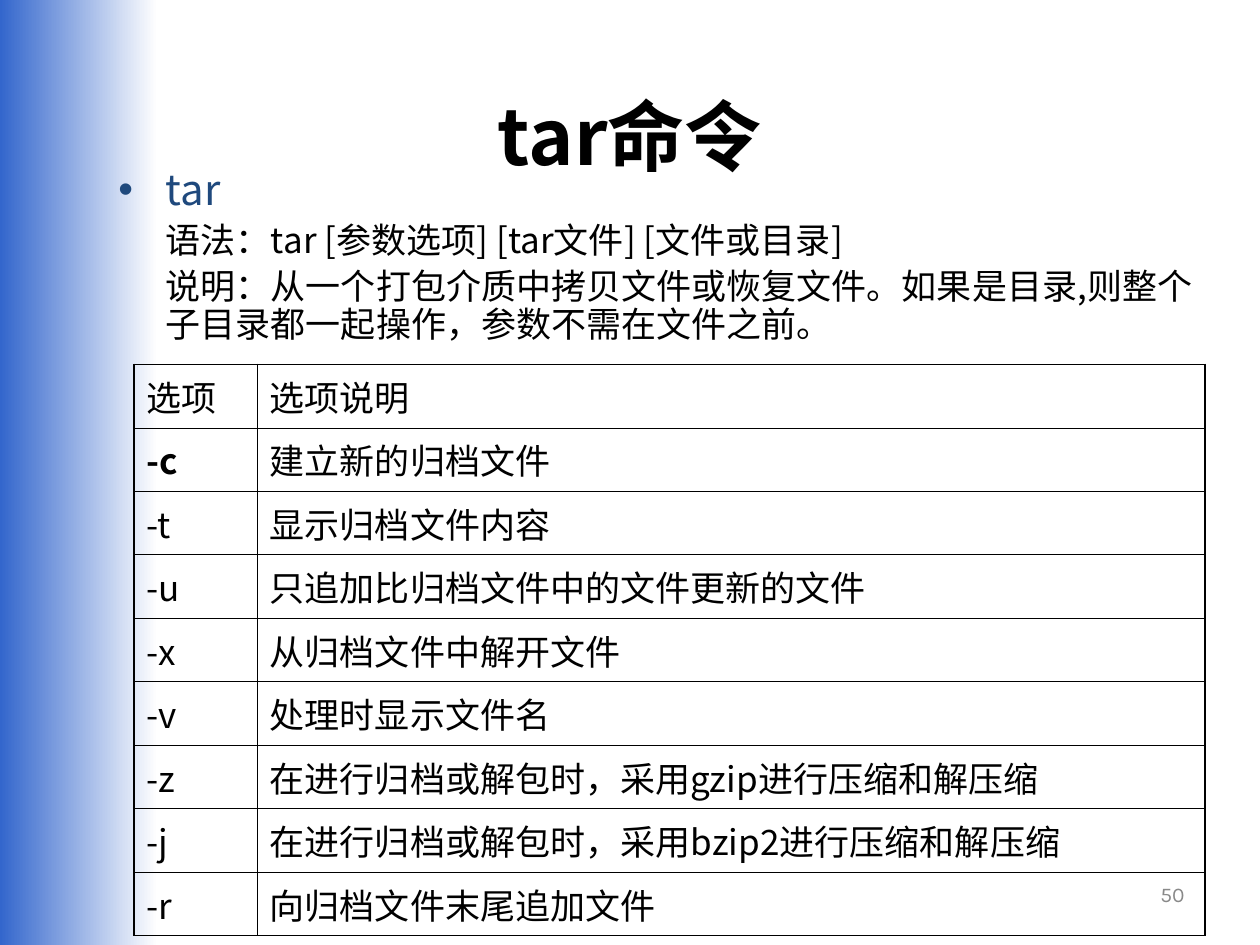
from dataclasses import dataclass

from lxml import etree
from pptx import Presentation
from pptx.dml.color import RGBColor
from pptx.enum.shapes import MSO_SHAPE
from pptx.enum.text import MSO_ANCHOR, MSO_AUTO_SIZE, PP_ALIGN
from pptx.oxml.ns import qn
from pptx.util import Pt

RECT = MSO_SHAPE.RECTANGLE
MIDDLE, TOP = MSO_ANCHOR.MIDDLE, MSO_ANCHOR.TOP
NO_FIT = MSO_AUTO_SIZE.NONE
LEFT, CENTER, RIGHT = PP_ALIGN.LEFT, PP_ALIGN.CENTER, PP_ALIGN.RIGHT


@dataclass(frozen=True)
class Theme:
    """Colours, fonts and sizes of the slide."""
    ink: str = "000000"
    accent: str = "1F497D"
    band: str = "3366CC"
    paper: str = "FFFFFF"
    muted: str = "898989"
    font: str = "Noto Sans CJK SC"
    title_font: str = "Calibri"
    number_font: str = "Karla"
    title: float = 44
    lead: float = 24
    text: float = 20
    number: float = 12
    thin: float = 0.45
    thick: float = 1.08


T = Theme()

SYNTAX = "语法：tar [参数选项] [tar文件] [文件或目录]"
NOTE = "说明：从一个打包介质中拷贝文件或恢复文件。如果是目录,则整个子目录都一起操作，参数不需在文件之前。"
OPTIONS = [
    ("选项", "选项说明"),
    ("-c", "建立新的归档文件"),
    ("-t", "显示归档文件内容"),
    ("-u", "只追加比归档文件中的文件更新的文件"),
    ("-x", "从归档文件中解开文件"),
    ("-v", "处理时显示文件名"),
    ("-z", "在进行归档或解包时，采用gzip进行压缩和解压缩"),
    ("-j", "在进行归档或解包时，采用bzip2进行压缩和解压缩"),
    ("-r", "向归档文件末尾追加文件"),
]


def place(sp, box):
    """Move a shape to a box given in points."""
    sp.left, sp.top, sp.width, sp.height = (Pt(v) for v in box)


def frame(sp, anchor):
    """Prepare the text frame of a shape."""
    tf = sp.text_frame
    tf.word_wrap = True
    tf.auto_size = NO_FIT
    tf.vertical_anchor = anchor
    return tf


def add_run(p, text, size, color=T.ink, font=T.font, bold=False):
    """Add one formatted run to a paragraph."""
    r = p.add_run()
    r.text = text
    r.font.size = Pt(size)
    r.font.bold = bold
    r.font.name = font
    r.font.color.rgb = RGBColor.from_string(color)
    etree.SubElement(r.font._element, qn("a:ea"), typeface=T.font)


def set_bullet(p, color=None):
    """Indent a paragraph and give it a bullet if a colour is named."""
    pPr = p._p.get_or_add_pPr()
    pPr.set("marL", str(Pt(27)))
    pPr.set("indent", str(Pt(-27 if color else 0)))
    if color:
        clr = etree.SubElement(pPr, qn("a:buClr"))
        etree.SubElement(clr, qn("a:srgbClr"), val=color)
        etree.SubElement(pPr, qn("a:buChar"), char="•")
    else:
        etree.SubElement(pPr, qn("a:buNone"))


def add_band(s, box):
    """Draw the gradient band behind everything else."""
    sp = s.shapes.add_shape(RECT, *(Pt(v) for v in box))
    sp.shadow.inherit = False
    sp.line.fill.background()
    sp.fill.gradient()
    sp.fill.gradient_angle = 180
    for stop, color in zip(sp.fill.gradient_stops, (T.paper, T.band)):
        stop.color.rgb = RGBColor.from_string(color)
    sp._element.getparent().insert(2, sp._element)


def add_title(s, box):
    """Fill the title placeholder."""
    sp = s.shapes.title
    place(sp, box)
    p = frame(sp, MIDDLE).paragraphs[0]
    p.alignment = CENTER
    add_run(p, "tar", T.title, bold=True)
    add_run(p, "命令", T.title, font=T.title_font, bold=True)


def add_body(s, box):
    """Fill the body placeholder with the syntax and its explanation."""
    sp = s.placeholders[1]
    place(sp, box)
    tf = frame(sp, TOP)
    lines = [("tar", T.lead, T.accent, 6, T.accent),
             (SYNTAX, T.text, T.ink, 5, None),
             (NOTE, T.text, T.ink, 5, None)]
    for i, (text, size, color, before, bullet) in enumerate(lines):
        p = tf.add_paragraph() if i else tf.paragraphs[0]
        p.alignment = LEFT
        p.line_spacing = 0.9
        p.space_before = Pt(before)
        set_bullet(p, bullet)
        add_run(p, text, size, color)


def set_borders(cell, widths):
    """Draw the left, right, top and bottom borders of a cell."""
    tcPr = cell._tc.get_or_add_tcPr()
    for side, width in zip("LRTB", widths):
        ln = etree.SubElement(tcPr, qn(f"a:ln{side}"), w=str(Pt(width)))
        fill = etree.SubElement(ln, qn("a:solidFill"))
        etree.SubElement(fill, qn("a:srgbClr"), val=T.ink)


def add_options(s, box, key_width):
    """Add the table of options."""
    x, y, w, h = box
    tbl = s.shapes.add_table(len(OPTIONS), 2, Pt(x), Pt(y), Pt(w), Pt(h)).table
    tbl.first_row = tbl.horz_banding = False
    tbl.columns[0].width = Pt(key_width)
    tbl.columns[1].width = Pt(w - key_width)
    for i, row in enumerate(OPTIONS):
        for j, text in enumerate(row):
            cell = tbl.cell(i, j)
            set_borders(cell, (T.thin if j else T.thick,
                               T.thick if j else T.thin,
                               T.thin if i else T.thick, T.thin))
            cell.fill.background()
            p = cell.text_frame.paragraphs[0]
            if j or i < 2:
                p.space_before = Pt(5)
            add_run(p, text, T.text, bold=text == "-c")


def add_number(s, box):
    """Add the slide number."""
    sp = s.shapes.add_textbox(*(Pt(v) for v in box))
    p = frame(sp, MIDDLE).paragraphs[0]
    p.alignment = RIGHT
    add_run(p, "50", T.number, T.muted, T.number_font)


def main():
    """Build and save the slide."""
    prs = Presentation()
    prs.slide_width, prs.slide_height = Pt(720), Pt(540)
    s = prs.slides.add_slide(prs.slide_layouts[1])
    add_band(s, (0, 0, 90, 540))
    add_title(s, (36, 23, 648, 108.5))
    add_body(s, (60.5, 93, 640, 108.5))
    add_options(s, (76.5, 208.25, 612, 283.5), 70.5)
    add_number(s, (516, 492, 168, 37.5))
    prs.save("out.pptx")


if __name__ == "__main__":
    main()
